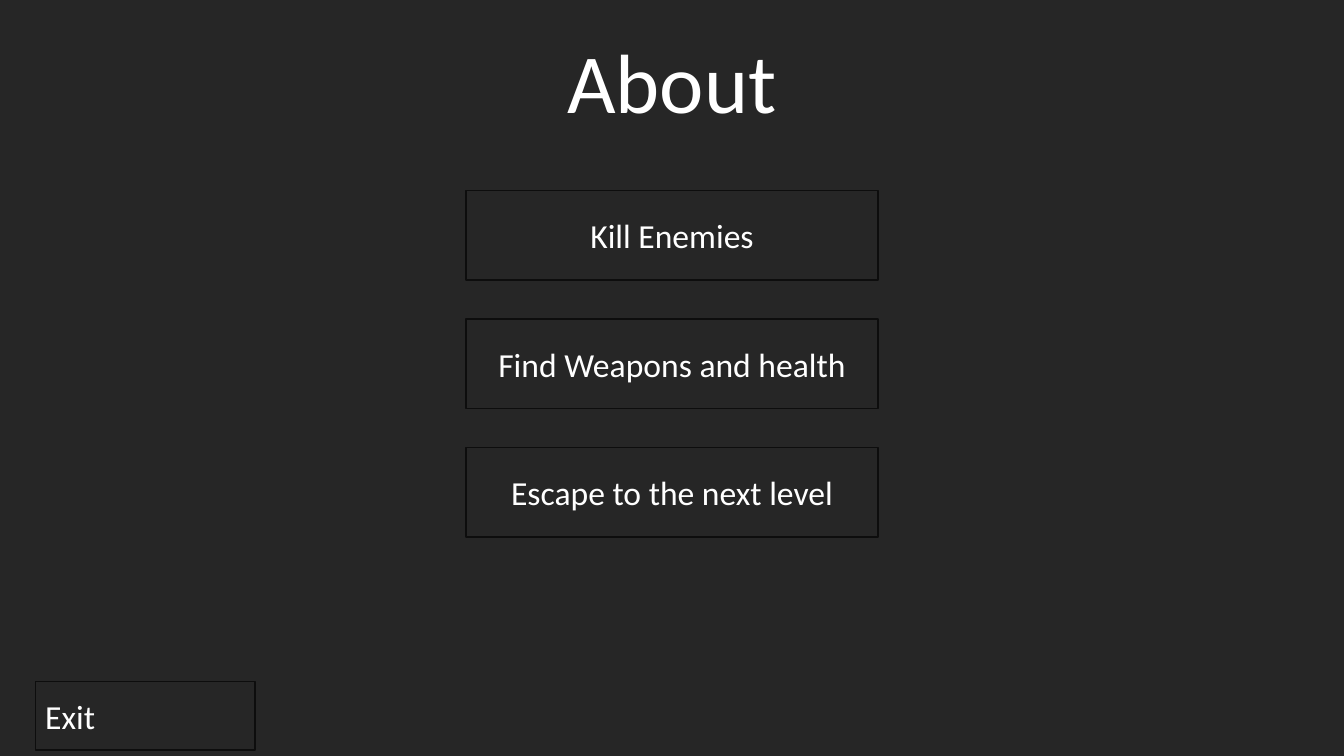
from dataclasses import dataclass

from pptx import Presentation
from pptx.dml.color import RGBColor
from pptx.enum.shapes import MSO_SHAPE
from pptx.enum.text import MSO_ANCHOR, MSO_AUTO_SIZE, PP_ALIGN
from pptx.util import Pt

RECTANGLE = MSO_SHAPE.RECTANGLE
TOP, MIDDLE = MSO_ANCHOR.TOP, MSO_ANCHOR.MIDDLE
LEFT, CENTER = PP_ALIGN.LEFT, PP_ALIGN.CENTER
NO_AUTOFIT = MSO_AUTO_SIZE.NONE
TITLE_ONLY = 5

SLIDE_WIDTH, SLIDE_HEIGHT = 960, 540
GOALS = ["Kill Enemies", "Find Weapons and health", "Escape to the next level"]
GOAL_WIDTH, GOAL_HEIGHT = 294.5, 64
GOAL_TOP, GOAL_PITCH = 136.1, 91.8


@dataclass(frozen=True)
class Theme:
    background: RGBColor = RGBColor(0x26, 0x26, 0x26)
    outline: RGBColor = RGBColor(0x0D, 0x0D, 0x0D)
    text: RGBColor = RGBColor(0xFF, 0xFF, 0xFF)
    font: str = "Calibri"
    title_size: int = 60
    button_size: int = 24


THEME = Theme()


def set_text(shape, text, size, alignment, anchor):
    text_frame = shape.text_frame
    text_frame.text = text
    text_frame.word_wrap = True
    text_frame.auto_size = NO_AUTOFIT
    text_frame.vertical_anchor = anchor
    paragraph = text_frame.paragraphs[0]
    paragraph.alignment = alignment
    font = paragraph.runs[0].font
    font.name = THEME.font
    font.size = Pt(size)
    font.color.rgb = THEME.text


def set_title(slide, text):
    title = slide.shapes.title
    title.left, title.top = Pt(0), Pt(17.3)
    title.width, title.height = Pt(SLIDE_WIDTH), Pt(80)
    set_text(title, text, THEME.title_size, CENTER, TOP)


def add_button(slide, text, left, top, width, height, alignment=CENTER):
    button = slide.shapes.add_shape(
        RECTANGLE, Pt(left), Pt(top), Pt(width), Pt(height))
    button.shadow.inherit = False
    button.fill.solid()
    button.fill.fore_color.rgb = THEME.background
    button.line.color.rgb = THEME.outline
    button.line.width = Pt(1)
    set_text(button, text, THEME.button_size, alignment, MIDDLE)


def main():
    presentation = Presentation()
    presentation.slide_width = Pt(SLIDE_WIDTH)
    presentation.slide_height = Pt(SLIDE_HEIGHT)
    slide = presentation.slides.add_slide(presentation.slide_layouts[TITLE_ONLY])

    # Dark background and title
    slide.background.fill.solid()
    slide.background.fill.fore_color.rgb = THEME.background
    set_title(slide, "About")

    # Exit button in the lower left corner
    add_button(slide, "Exit", 25.2, 486.7, 157, 49, LEFT)

    # Centred column of goals
    goal_left = (SLIDE_WIDTH - GOAL_WIDTH) / 2
    for index, goal in enumerate(GOALS):
        add_button(slide, goal, goal_left, GOAL_TOP + index * GOAL_PITCH,
                   GOAL_WIDTH, GOAL_HEIGHT)

    presentation.save("out.pptx")


if __name__ == "__main__":
    main()
